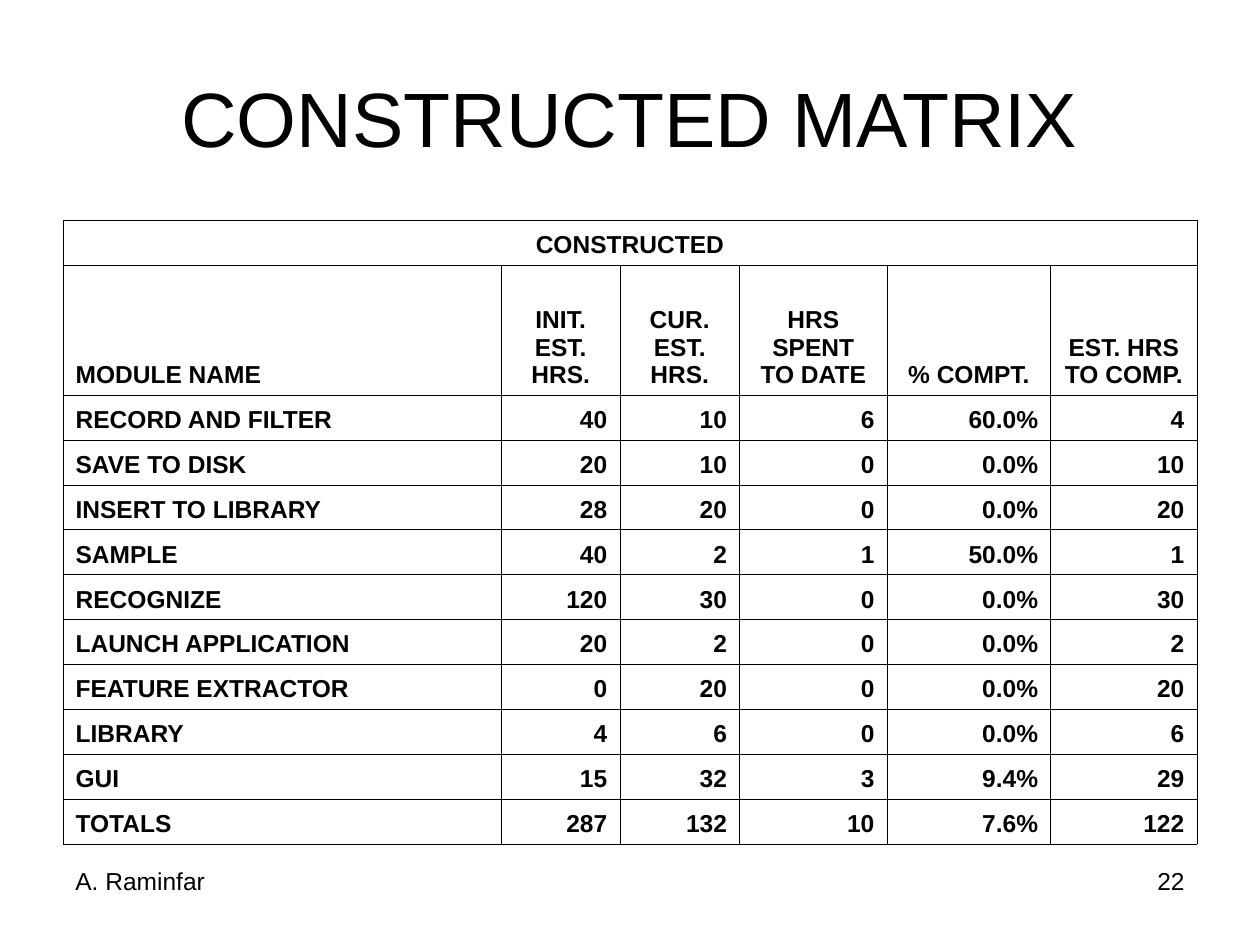
"""Build the constructed matrix slide: a table of module hours with title and footer."""
from lxml.etree import SubElement
from pptx import Presentation
from pptx.dml.color import RGBColor as RGB
from pptx.enum.text import MSO_ANCHOR as ANCHOR, PP_ALIGN as ALIGN
from pptx.oxml.ns import qn
from pptx.util import Inches, Pt

COLORS = {"ink": "000000", "paper": "FFFFFF"}
FONT = "Arial"

deck = Presentation()
deck.slide_width, deck.slide_height = Inches(10), Inches(7.5)
W, H = deck.slide_width, deck.slide_height
slide = deck.slides.add_slide(deck.slide_layouts[6])
slide.background.fill.solid()
slide.background.fill.fore_color.rgb = RGB.from_string(COLORS["paper"])

margin = int(W * 0.05)
content_width = W - 2 * margin
footer_width = int(W * 0.233)


def write(frame, text, size, align, bold=False):
    line = frame.paragraphs[0]
    line.alignment = align
    run = line.add_run()
    run.text = text
    run.font.name, run.font.size, run.font.bold = FONT, Pt(size), bold
    run.font.color.rgb = RGB.from_string(COLORS["ink"])


def rule_cell(cell):
    cell.fill.background()
    props = cell._tc.get_or_add_tcPr()
    for place, side in enumerate(("a:lnL", "a:lnR", "a:lnT", "a:lnB")):
        edge = props.makeelement(qn(side), {"w": str(Pt(0.45))})
        ink = SubElement(SubElement(edge, qn("a:solidFill")), qn("a:srgbClr"))
        ink.set("val", COLORS["ink"])
        props.insert(place, edge)


columns = [
    ("MODULE NAME", 3.48),
    ("INIT. EST. HRS.", 0.94),
    ("CUR. EST. HRS.", 0.95),
    ("HRS SPENT TO DATE", 1.17),
    ("% COMPT.", 1.3),
    ("EST. HRS TO COMP.", 1.16),
]
modules = [
    ("RECORD AND FILTER", "40", "10", "6", "60.0%", "4"),
    ("SAVE TO DISK", "20", "10", "0", "0.0%", "10"),
    ("INSERT TO LIBRARY", "28", "20", "0", "0.0%", "20"),
    ("SAMPLE", "40", "2", "1", "50.0%", "1"),
    ("RECOGNIZE", "120", "30", "0", "0.0%", "30"),
    ("LAUNCH APPLICATION", "20", "2", "0", "0.0%", "2"),
    ("FEATURE EXTRACTOR", "0", "20", "0", "0.0%", "20"),
    ("LIBRARY", "4", "6", "0", "0.0%", "6"),
    ("GUI", "15", "32", "3", "9.4%", "29"),
    ("TOTALS", "287", "132", "10", "7.6%", "122"),
]
headings = [heading for heading, share in columns]
rows = [["CONSTRUCTED"] + [""] * (len(columns) - 1), headings, *modules]

matrix_height = int(H * 0.66)
heading_height = Inches(1.03)
row_height = (matrix_height - heading_height) // (len(rows) - 1)
matrix = slide.shapes.add_table(
    len(rows), len(columns), margin, Inches(1.75), content_width, matrix_height
).table
matrix.first_row = matrix.horz_banding = False

total_share = sum(share for heading, share in columns)
for column, (heading, share) in zip(matrix.columns, columns):
    column.width = int(content_width * share / total_share)

for r, values in enumerate(rows):
    matrix.rows[r].height = heading_height if r == 1 else row_height
    for c, value in enumerate(values):
        cell = matrix.cell(r, c)
        cell.vertical_anchor = ANCHOR.BOTTOM
        rule_cell(cell)
        if r == 0:
            align = ALIGN.CENTER
        elif c == 0:
            align = ALIGN.LEFT
        else:
            align = ALIGN.CENTER if r == 1 else ALIGN.RIGHT
        if value:
            write(cell.text_frame, value, 14, align, bold=True)
matrix.cell(0, 0).merge(matrix.cell(0, len(columns) - 1))

footer_top, footer_height = int(H * 0.91), int(H * 0.07)
for text, left, top, width, height, size, align, anchor in [
    ("CONSTRUCTED MATRIX", margin, int(H * 0.04), content_width, H // 6,
     44, ALIGN.CENTER, ANCHOR.MIDDLE),
    ("22", W - margin - footer_width, footer_top, footer_width, footer_height,
     14, ALIGN.RIGHT, ANCHOR.TOP),
    ("A. Raminfar", margin, footer_top, footer_width, footer_height,
     14, ALIGN.LEFT, ANCHOR.TOP),
]:
    frame = slide.shapes.add_textbox(left, top, width, height).text_frame
    frame.word_wrap = True
    frame.vertical_anchor = anchor
    write(frame, text, size, align)

deck.save("out.pptx")
